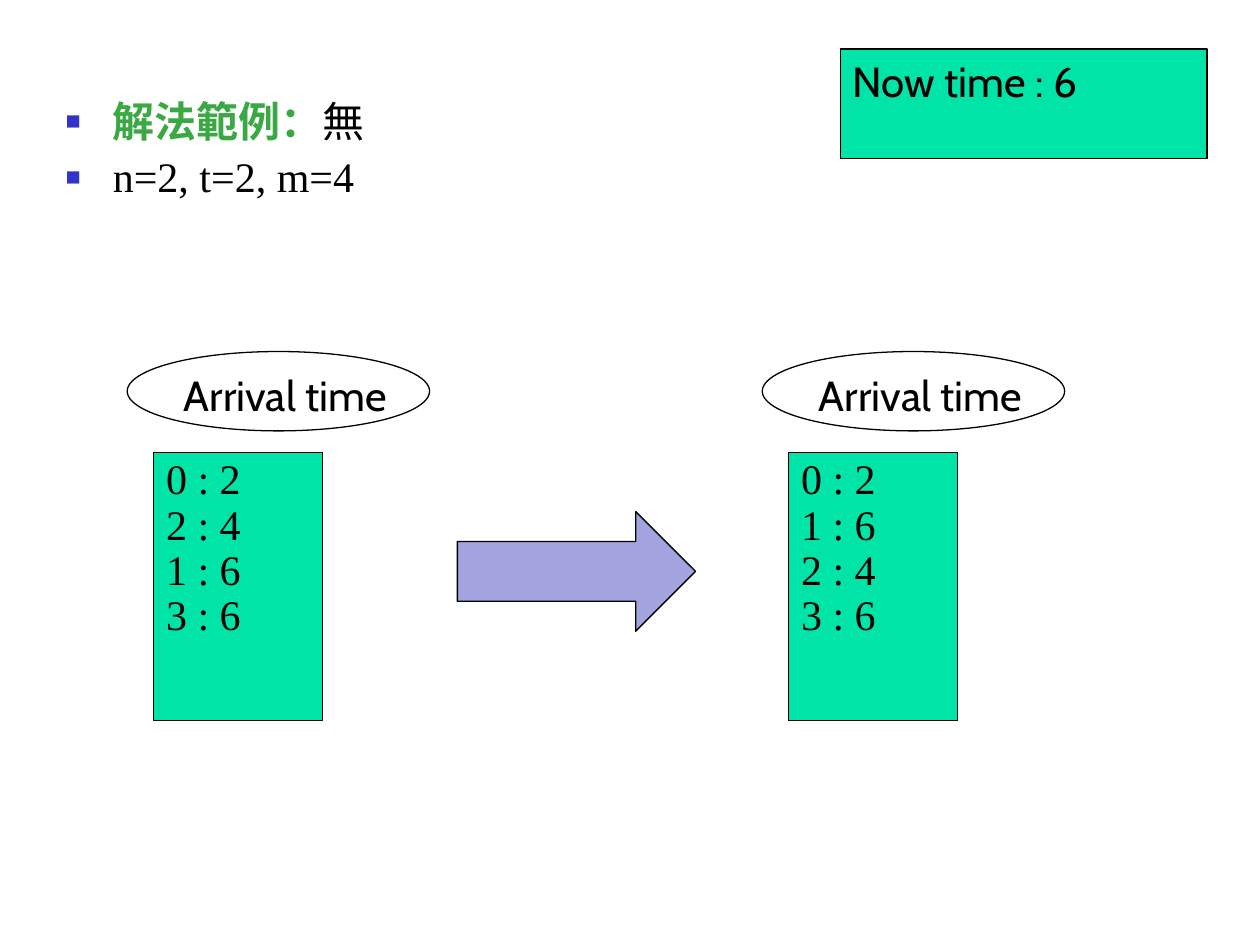
import pptx
import pptx.util
import pptx.dml.color
import pptx.enum.shapes
import pptx.enum.text
import pptx.oxml
import pptx.oxml.ns
from dataclasses import dataclass

Inches = pptx.util.Inches
Pt = pptx.util.Pt
RGB = pptx.dml.color.RGBColor.from_string
SHAPE = pptx.enum.shapes.MSO_SHAPE
ANCHOR = pptx.enum.text.MSO_ANCHOR
ALIGN = pptx.enum.text.PP_ALIGN


@dataclass(frozen=True)
class Theme:
    ink: str = "000000"
    heading: str = "3BA943"
    bullet: str = "3333CC"
    panel: str = "00E4A8"
    arrow: str = "A3A3E0"
    serif: str = "Times New Roman"
    sans: str = "Cabin"
    size: int = 24
    outline: float = 0.75


THEME = Theme()


def set_all(target, values):
    for name, value in values.items():
        setattr(target, name, value)


def style_font(font, name, color=THEME.ink, bold=False):
    set_all(font, {"name": name, "size": Pt(THEME.size), "bold": bold})
    font.color.rgb = RGB(color)


def add_bullet(p):
    pPr = p._p.get_or_add_pPr()
    set_all(pPr, {"marL": Inches(0.38), "indent": Inches(-0.38)})
    ns = pptx.oxml.ns.nsdecls("a")
    for xml in (
        f'<a:buClr {ns}><a:srgbClr val="{THEME.bullet}"/></a:buClr>',
        f'<a:buSzPct {ns} val="60000"/>',
        f'<a:buChar {ns} char="■"/>',
    ):
        pPr.append(pptx.oxml.parse_xml(xml))


def add_body(s, box, lines):
    sp = s.placeholders[1]
    set_all(sp, dict(zip(("left", "top", "width", "height"), map(Inches, box))))
    tf = sp.text_frame
    tf.vertical_anchor = ANCHOR.TOP
    for i, runs in enumerate(lines):
        p = tf.add_paragraph() if i else tf.paragraphs[0]
        add_bullet(p)
        set_all(p, {"line_spacing": 0.9, "space_before": Pt(6 if i else 0)})
        for text, color, bold in runs:
            r = p.add_run()
            r.text = text
            style_font(r.font, THEME.serif, color, bold)


def add_figure(s, kind, box, fill=None, lines=(), font=THEME.sans, spacing=1.0):
    sp = s.shapes.add_shape(kind, *map(Inches, box))
    sp.shadow.inherit = False
    if fill:
        sp.fill.solid()
        sp.fill.fore_color.rgb = RGB(fill)
    else:
        sp.fill.background()
    sp.line.color.rgb = RGB(THEME.ink)
    sp.line.width = Pt(THEME.outline)
    tf = sp.text_frame
    set_all(tf, {"word_wrap": False, "vertical_anchor": ANCHOR.TOP})
    for i, text in enumerate(lines):
        p = tf.add_paragraph() if i else tf.paragraphs[0]
        set_all(p, {"alignment": ALIGN.LEFT, "line_spacing": spacing})
        r = p.add_run()
        r.text = text
        style_font(r.font, font)
    return sp


def add_queue(s, box, entries):
    left, top, width, height = box
    add_figure(s, SHAPE.RECTANGLE, (left + 0.21, top + 0.8, 1.34, height - 0.8),
               THEME.panel, entries, THEME.serif, 0.9)
    add_figure(s, SHAPE.OVAL, (left, top, width, 0.63), lines=["Arrival time"])


def main():
    prs = pptx.Presentation()
    set_all(prs, {"slide_width": Inches(10), "slide_height": Inches(7.5)})
    s = prs.slides.add_slide(prs.slide_layouts[1])
    title = s.shapes.title.element
    title.getparent().remove(title)

    add_body(s, (0.42, 0.75, 8.83, 6.15), [
        [("解法範例：", THEME.heading, True), ("無", THEME.ink, False)],
        [("n=2, t=2, m=4", THEME.ink, False)],
    ])
    add_figure(s, SHAPE.RECTANGLE, (6.67, 0.39, 2.91, 0.87), THEME.panel,
               ["Now time : 6"])
    queues = {
        1.01: ["0 : 2", "2 : 4", "1 : 6", "3 : 6"],
        6.05: ["0 : 2", "1 : 6", "2 : 4", "3 : 6"],
    }
    for left, entries in queues.items():
        add_queue(s, (left, 2.79, 2.4, 2.93), entries)
    add_figure(s, SHAPE.RIGHT_ARROW, (3.63, 4.06, 1.89, 0.95), THEME.arrow)
    prs.save("out.pptx")


if __name__ == "__main__":
    main()
